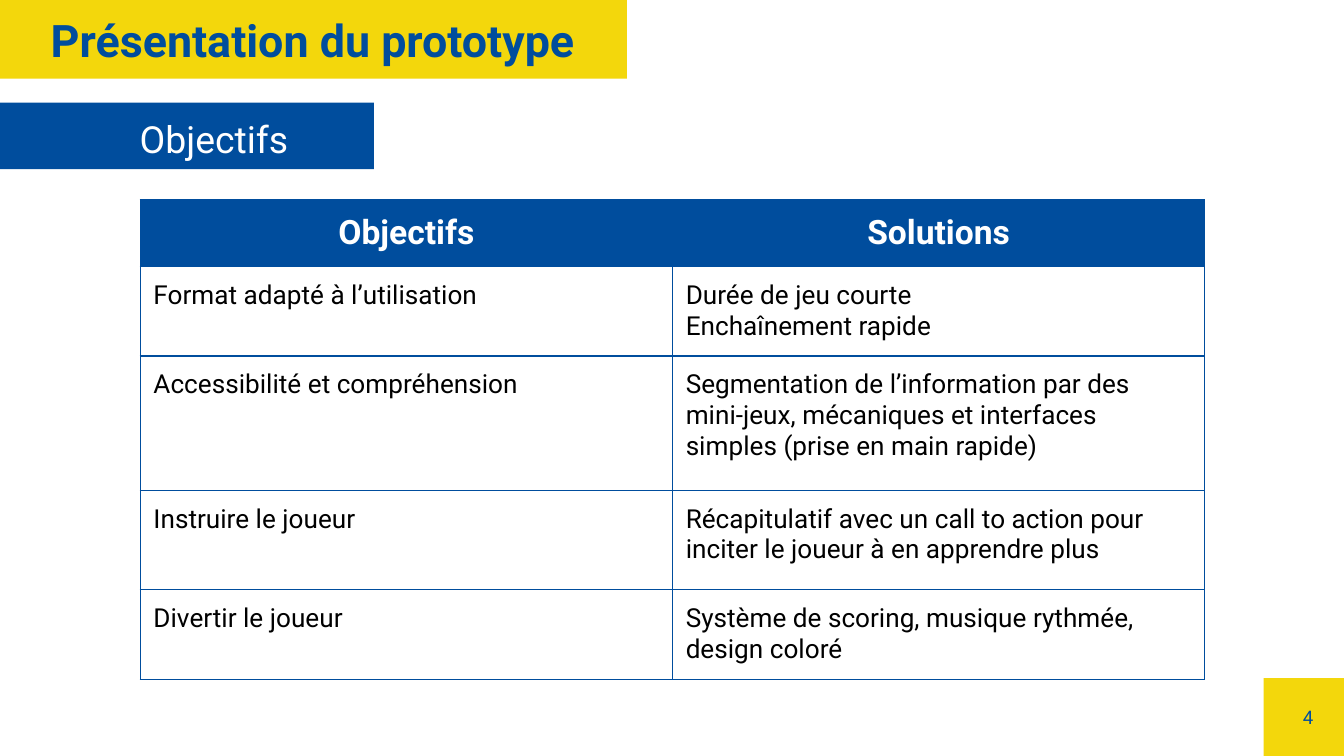
from dataclasses import dataclass

from lxml.etree import SubElement
from pptx import Presentation
from pptx.dml.color import RGBColor as Color
from pptx.enum.shapes import MSO_SHAPE as Shape
from pptx.enum.text import MSO_ANCHOR as Anchor, PP_ALIGN as Align
from pptx.oxml.ns import qn
from pptx.util import Cm, Pt

# Content
TITLE = "Présentation du prototype"
SUBTITLE = "Objectifs"
PAGE_NUMBER = "4"
HEADERS = ("Objectifs", "Solutions")
ROWS = [
    ("Format adapté à l’utilisation", "Durée de jeu courte\nEnchaînement rapide"),
    ("Accessibilité et compréhension",
     "Segmentation de l’information par des mini-jeux, mécaniques et "
     "interfaces simples (prise en main rapide)"),
    ("Instruire le joueur",
     "Récapitulatif avec un call to action pour inciter le joueur à en apprendre plus"),
    ("Divertir le joueur", "Système de scoring, musique rythmée, design coloré"),
]


@dataclass(frozen=True)
class Theme:
    font: str = "Roboto"
    blue: Color = Color(0x00, 0x4D, 0x9D)
    yellow: Color = Color(0xF3, 0xD7, 0x0C)
    white: Color = Color(0xFF, 0xFF, 0xFF)
    black: Color = Color(0, 0, 0)
    title: int = 24
    subtitle: int = 20
    header: int = 18
    body: int = 14
    number: int = 10
    border: float = 0.75


THEME = Theme()

# Layout, in centimetres
SLIDE_SIZE = (25.4, 14.29)
INSET = 0.25
TABLE_LEFT, TABLE_TOP = 2.65, 3.78
COLUMN_WIDTH = 10.06
ROW_HEIGHTS = (1.25, 1.67, 2.54, 1.88, 1.67)


def write(frame, text, size, color, bold=False, align=Align.LEFT):
    frame.text = text
    for paragraph in frame.paragraphs:
        paragraph.alignment = align
        font = paragraph.font
        font.name, font.size, font.bold = THEME.font, Pt(size), bold
        font.color.rgb = color


def set_insets(item):
    item.margin_left = item.margin_right = Cm(INSET)
    item.margin_top = item.margin_bottom = Cm(INSET)


def add_band(slide, box, color):
    band = slide.shapes.add_shape(Shape.RECTANGLE, *map(Cm, box))
    band.shadow.inherit = False
    band.fill.solid()
    band.fill.fore_color.rgb = color
    band.line.fill.background()


def add_label(slide, box, *style, anchor=Anchor.TOP, **options):
    frame = slide.shapes.add_textbox(*map(Cm, box)).text_frame
    frame.word_wrap = True
    frame.vertical_anchor = anchor
    set_insets(frame)
    write(frame, *style, **options)


def add_borders(cell):
    properties = cell._tc.get_or_add_tcPr()
    for index, side in enumerate(("lnL", "lnR", "lnT", "lnB")):
        line = properties.makeelement(qn(f"a:{side}"), {"w": str(Pt(THEME.border))})
        fill = SubElement(line, qn("a:solidFill"))
        SubElement(fill, qn("a:srgbClr"), val=str(THEME.blue))
        properties.insert(index, line)  # borders precede the cell fill


def add_goals_table(slide):
    content = [HEADERS, *ROWS]
    columns = len(HEADERS)
    box = (TABLE_LEFT, TABLE_TOP, columns * COLUMN_WIDTH, sum(ROW_HEIGHTS))
    table = slide.shapes.add_table(len(content), columns, *map(Cm, box)).table
    for column in table.columns:
        column.width = Cm(COLUMN_WIDTH)
    for row, height in zip(table.rows, ROW_HEIGHTS):
        row.height = Cm(height)
    for row_index, texts in enumerate(content):
        for column_index, text in enumerate(texts):
            cell = table.cell(row_index, column_index)
            set_insets(cell)
            cell.fill.solid()
            if row_index == 0:
                cell.fill.fore_color.rgb = THEME.blue
                write(cell.text_frame, text, THEME.header, THEME.white, True, Align.CENTER)
            else:
                cell.fill.fore_color.rgb = THEME.white
                write(cell.text_frame, text, THEME.body, THEME.black)
            add_borders(cell)


def main():
    presentation = Presentation()
    presentation.slide_width, presentation.slide_height = map(Cm, SLIDE_SIZE)
    slide = presentation.slides.add_slide(presentation.slide_layouts[6])

    # Page number
    add_band(slide, (23.88, 12.82, 1.52, 1.47), THEME.yellow)
    add_label(slide, (23.55, 13.06, 1.52, 1), PAGE_NUMBER, THEME.number, THEME.blue,
              anchor=Anchor.MIDDLE, align=Align.RIGHT)

    # Subtitle and title
    add_band(slide, (0, 1.94, 7.07, 1.26), THEME.blue)
    add_label(slide, (2.39, 1.94, 22.9, 1.26), SUBTITLE, THEME.subtitle, THEME.white)
    add_band(slide, (0, 0, 11.85, 1.49), THEME.yellow)
    add_label(slide, (0.71, 0, 10.8, 1.49), TITLE, THEME.title, THEME.blue, bold=True)

    # Goals and solutions
    add_goals_table(slide)
    presentation.save("out.pptx")


if __name__ == "__main__":
    main()
